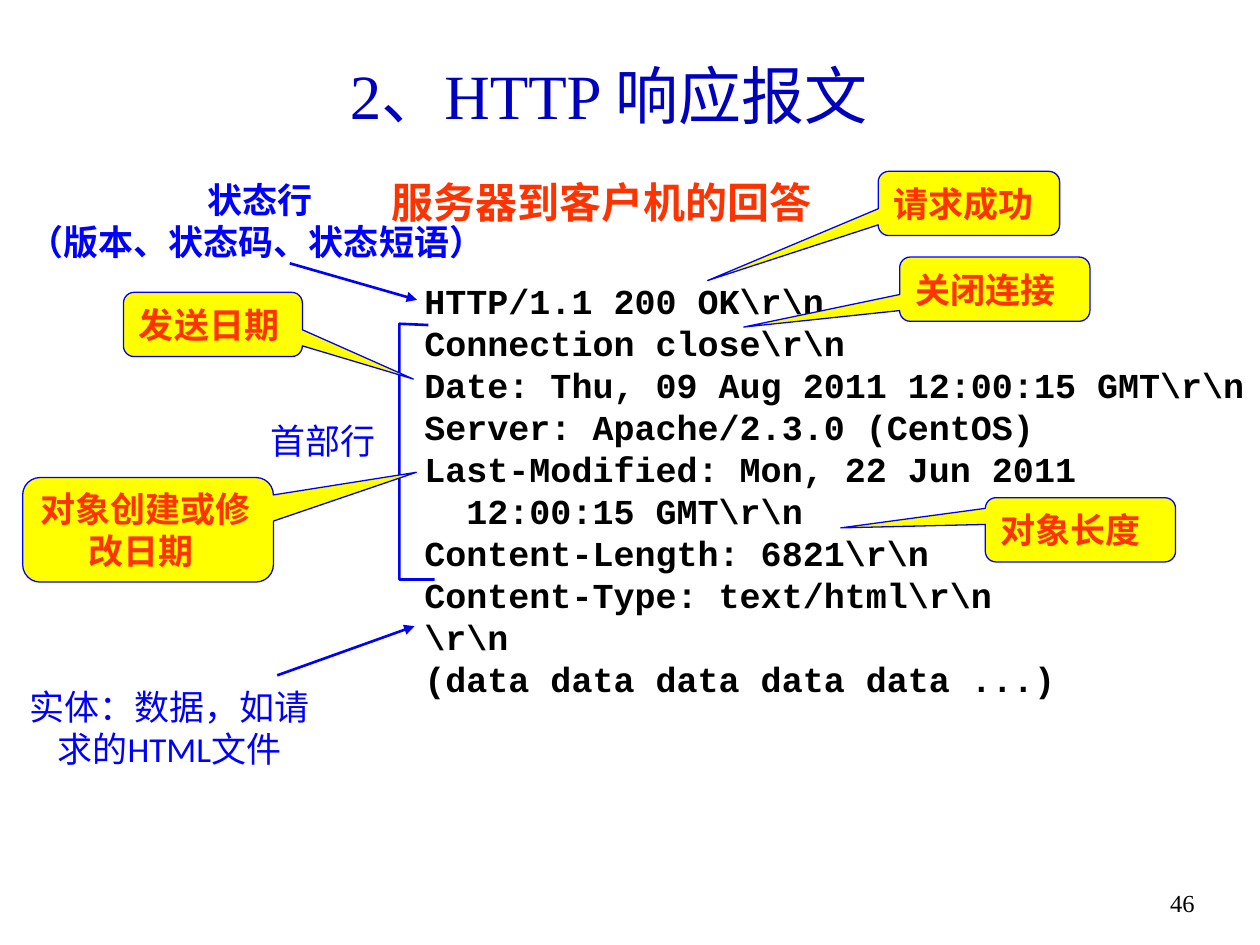
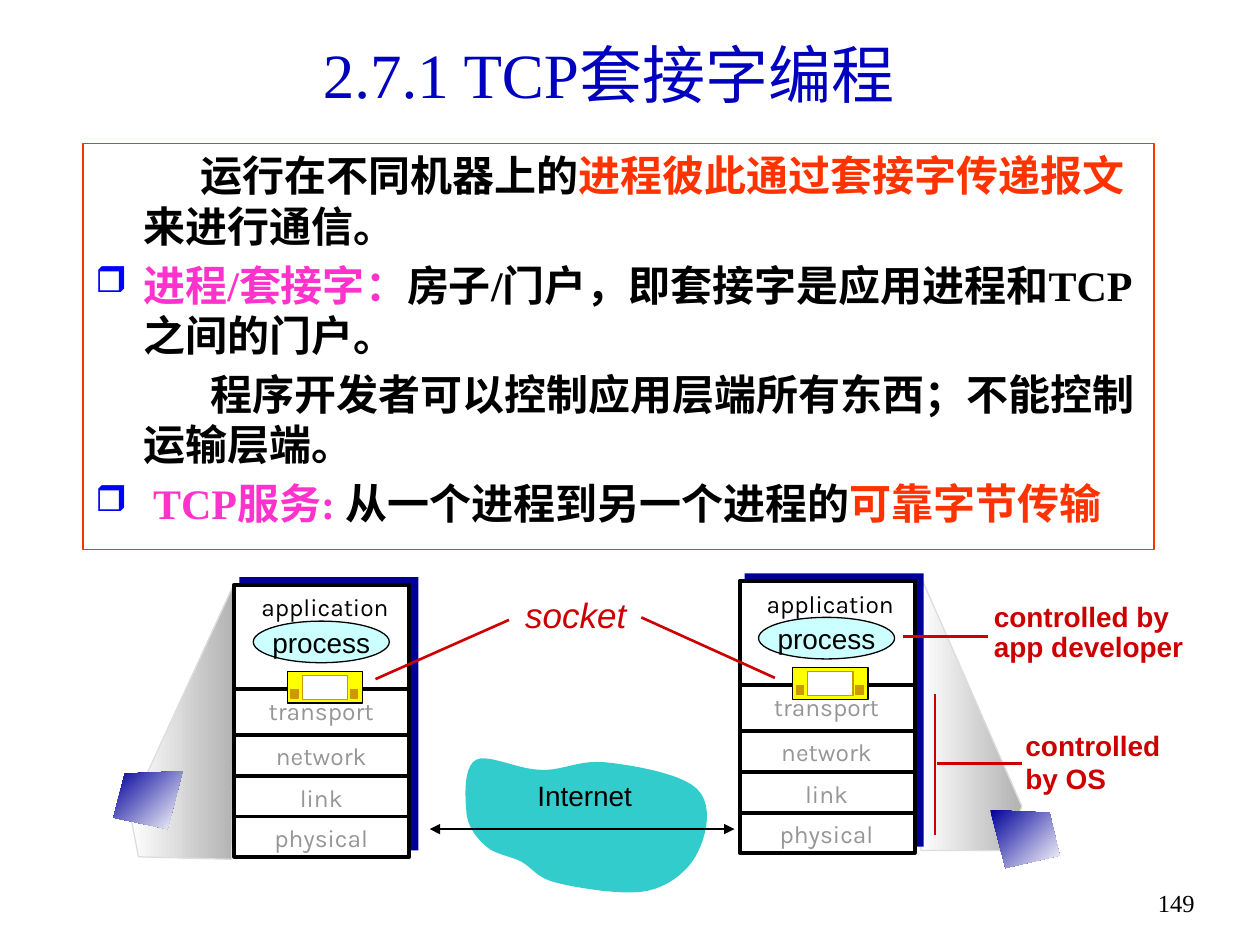
from pptx import Presentation
from pptx.dml.color import RGBColor
from pptx.enum.shapes import MSO_CONNECTOR as Connector, MSO_SHAPE as Preset
from pptx.enum.text import MSO_ANCHOR as Anchor, PP_ALIGN as Align
from pptx.oxml.ns import qn
from pptx.util import Inches, Pt
from lxml.etree import SubElement

COLORS = {
    "title": "0000BF", "black": "000000", "white": "FFFFFF", "blue": "0000FF",
    "orange": "FF3300", "pink": "FF33CC", "yellow": "FFFF00", "red": "CC0000",
    "navy": "000099", "gray": "969696", "beam": "B2B2B2", "beam edge": "DDDDDD",
    "cloud": "33CCCC", "process": "CCFFFF", "gold": "CC9900",
}
SERIF = "Times New Roman"
CJK = "Noto Sans CJK SC"
TITLE_LEFT, TITLE_WIDTH = 0.58, 8.5

RESPONSE = r"""HTTP/1.1 200 OK\r\n
Connection close\r\n
Date: Thu, 09 Aug 2011 12:00:15 GMT\r\n
Server: Apache/2.3.0 (CentOS)
Last-Modified: Mon, 22 Jun 2011
  12:00:15 GMT\r\n
Content-Length: 6821\r\n
Content-Type: text/html\r\n
\r\n
(data data data data data ...)""".split("\n")

# text, box, pointer position relative to the box
CALLOUTS = [
    ("请求成功", (6.97, 1.36, 1.44, 0.51), (-1.44, 1.2)),
    ("关闭连接", (7.14, 2.04, 1.51, 0.51), (-1.32, 0.59)),
    ("发送日期", (0.98, 2.32, 1.42, 0.51), (1.12, 0.85)),
    ("对象创建或修改日期", (0.18, 3.79, 1.99, 0.83), (1.07, -0.55)),
    ("对象长度", (7.82, 3.95, 1.51, 0.51), (-1.26, -0.03)),
]

# first-line indent, bullet, runs
SOCKET_NOTES = [
    (0.45, False, [("运行在不同机器上的", "black"), ("进程彼此通过套接字传递报文", "orange"),
                   ("来进行通信。", "black")]),
    (-0.38, True, [("进程/套接字：", "pink"),
                   ("房子/门户，即套接字是应用进程和TCP之间的门户。", "black")]),
    (0.53, False, [("程序开发者可以控制应用层端所有东西；不能控制运输层端。", "black")]),
    (-0.38, True, [(" TCP服务: ", "pink"), ("从一个进程到另一个进程的", "black"),
                   ("可靠字节传输", "orange")]),
]

# top of each layer below the top of the host
LAYERS = {"transport": 0.83, "network": 1.19, "link": 1.52, "physical": 1.84}

CLOUD_START = (3.7, 6.42)
CLOUD_CURVES = [
    ((3.69, 6.31), (3.68, 6.08), (3.78, 6.03)),
    ((3.87, 5.98), (4.12, 6.11), (4.29, 6.11)),
    ((4.46, 6.12), (4.59, 6.03), (4.8, 6.05)),
    ((5.01, 6.07), (5.41, 6.14), (5.53, 6.26)),
    ((5.66, 6.38), (5.61, 6.62), (5.54, 6.76)),
    ((5.48, 6.89), (5.33, 7.03), (5.14, 7.07)),
    ((4.96, 7.11), (4.6, 7.05), (4.43, 7.01)),
    ((4.26, 6.97), (4.24, 6.9), (4.14, 6.84)),
    ((4.04, 6.79), (3.92, 6.78), (3.85, 6.71)),
    ((3.77, 6.64), (3.7, 6.54), (3.7, 6.42)),
]


def rgb(name):
    return RGBColor.from_string(COLORS[name])


def inches(values):
    return [Inches(value) for value in values]


def add_bullet(paragraph):
    properties = paragraph._p.get_or_add_pPr()
    color = SubElement(properties, qn("a:buClr"))
    SubElement(color, qn("a:srgbClr"), val=COLORS["blue"])
    SubElement(properties, qn("a:buSzPct"), val="85000")
    SubElement(properties, qn("a:buChar"), char="❒")


def write_paragraph(paragraph, content, size=20, font=SERIF, color="black", bold=False,
                    italic=False, align=Align.LEFT, spacing=None, before=None,
                    margin=0, indent=0, bullet=False):
    """Write a string, or a list of (text, color) runs, into a paragraph."""
    paragraph.alignment = align
    properties = paragraph._p.get_or_add_pPr()
    properties.set("marL", str(Inches(margin)))
    properties.set("indent", str(Inches(indent)))
    if bullet:
        add_bullet(paragraph)
    if spacing:
        paragraph.line_spacing = spacing
    if before:
        paragraph.space_before = Pt(before)
    for text, run_color in [(content, color)] if isinstance(content, str) else content:
        run = paragraph.add_run()
        run.text = text
        run.font.name, run.font.size = font, Pt(size)
        run.font.bold, run.font.italic = bold, italic
        run.font.color.rgb = rgb(run_color)
        SubElement(run._r.get_or_add_rPr(), qn("a:ea"), typeface=CJK)


def write_text(shape, lines, anchor=Anchor.TOP, wrap=True, **text_format):
    frame = shape.text_frame
    frame.word_wrap, frame.vertical_anchor = wrap, anchor
    for number, line in enumerate(lines):
        paragraph = frame.add_paragraph() if number else frame.paragraphs[0]
        write_paragraph(paragraph, line, **text_format)


def add_text(slide, box, *lines, **text_format):
    write_text(slide.shapes.add_textbox(*inches(box)), lines, **text_format)


def paint(shape, fill=None, line=None, width=0.75):
    """Fill with a color name, a (start, end, angle) gradient or nothing."""
    shape.shadow.inherit = False
    if isinstance(fill, tuple):
        *stops, angle = fill
        shape.fill.gradient()
        shape.fill.gradient_angle = angle
        for stop, name in zip(shape.fill.gradient_stops, stops):
            stop.color.rgb = rgb(name)
    elif fill:
        shape.fill.solid()
        shape.fill.fore_color.rgb = rgb(fill)
    else:
        shape.fill.background()
    if line:
        shape.line.color.rgb = rgb(line)
        shape.line.width = Pt(width)
    else:
        shape.line.fill.background()


def add_shape(slide, preset, box, fill=None, line=None, width=0.75):
    shape = slide.shapes.add_shape(preset, *inches(box))
    paint(shape, fill, line, width)
    return shape


def add_outline(slide, points, close=True, **style):
    start, *others = [tuple(inches(point)) for point in points]
    builder = slide.shapes.build_freeform(*start)
    builder.add_line_segments(others, close=close)
    paint(builder.convert_to_shape(), **style)


def add_line(slide, start, end, color, width=1.5, arrows=()):
    """Draw a line; arrows may hold headEnd and tailEnd, in that order."""
    line = slide.shapes.add_connector(Connector.STRAIGHT, *inches(start + end))
    line.line.color.rgb = rgb(color)
    line.line.width = Pt(width)
    for arrow in arrows:
        SubElement(line.line._get_or_add_ln(), qn(f"a:{arrow}"), type="triangle")
    SubElement(line._element.spPr, qn("a:effectLst"))


def add_callout(slide, text, box, pointer):
    callout = add_shape(slide, Preset.ROUNDED_RECTANGULAR_CALLOUT, box, "yellow", "blue")
    for number, value in enumerate(pointer):
        callout.adjustments[number] = value
    write_text(callout, [text], anchor=Anchor.MIDDLE, color="orange", bold=True,
               margin=0.38, indent=-0.38)


def add_titled_slide(presentation, title, top, height, number):
    slide = presentation.slides.add_slide(presentation.slide_layouts[5])
    placeholder = slide.shapes.title
    placeholder.left, placeholder.top, placeholder.width, placeholder.height = inches(
        (TITLE_LEFT, top, TITLE_WIDTH, height))
    write_text(placeholder, [title], anchor=Anchor.MIDDLE, size=36, color="title",
               align=Align.CENTER)
    add_text(slide, (9.08, 7, 0.5, 0.5), number, size=14, align=Align.RIGHT)
    return slide


def add_host(slide, left, top):
    """Draw a protocol stack with its process and socket."""
    def box(x, y, width, height):
        return left + x, top + y, width, height

    def label(text, x, y, color):
        add_text(slide, box(x, y, 1.44, 0.36), text, size=14, font="Karla", color=color,
                 align=Align.CENTER, spacing=1.1)

    add_shape(slide, Preset.RECTANGLE, box(0.04, -0.06, 1.42, 2.17), "navy")
    add_shape(slide, Preset.RECTANGLE, box(0, 0, 1.39, 2.16), "white", "black", 2.25)
    label("application", 0, -0.01, "black")
    for layer, y in LAYERS.items():
        add_line(slide, (left + 0.01, top + y), (left + 1.39, top + y), "black", 2.25)
        label(layer, -0.03, y - 0.02, "gray")
    process = add_shape(slide, Preset.OVAL, box(0.15, 0.29, 1.08, 0.33), "process", "black")
    write_text(process, ["process"], anchor=Anchor.MIDDLE, wrap=False, size=16,
               font="Arial", align=Align.CENTER)
    add_shape(slide, Preset.RECTANGLE, box(0.42, 0.69, 0.6, 0.25), "yellow", "black")
    add_shape(slide, Preset.RECTANGLE, box(0.54, 0.72, 0.36, 0.19), "white", "gold")
    for x in (0.45, 0.92):
        add_shape(slide, Preset.RECTANGLE, box(x, 0.83, 0.06, 0.07), "gold", "gold")


def curve_points(start, curves, steps=10):
    """Sample a chain of cubic Bezier curves."""
    points = [start]
    for first, second, end in curves:
        begin = points[-1]
        for step in range(1, steps + 1):
            t = step / steps
            u = 1 - t
            points.append(tuple(
                u**3 * a + 3 * u * u * t * b + 3 * u * t * t * c + t**3 * d
                for a, b, c, d in zip(begin, first, second, end)))
    return points


def build_response_slide(presentation):
    slide = add_titled_slide(presentation, "2、HTTP 响应报文", 0.25, 1, "46")
    add_text(slide, (3.27, 2.17, 6.73, 3.47), *RESPONSE, font="Courier New", bold=True,
             wrap=False)
    add_text(slide, (-0.01, 1.37, 4.09, 0.77), " 状态行", "（版本、状态码、状态短语）",
             font="Comic Neue", color="blue", bold=True, align=Align.CENTER)
    add_line(slide, (2.3, 2.09), (3.31, 2.38), "blue", arrows=["tailEnd"])
    add_outline(slide, [(3.4, 2.58), (3.17, 2.57), (3.17, 4.6), (3.45, 4.6)],
                close=False, line="blue", width=1.5)
    add_text(slide, (1.88, 3.28, 1.2, 0.43), "首部行", font="Comic Neue", color="blue",
             align=Align.RIGHT)
    add_line(slide, (2.2, 5.36), (3.29, 4.97), "blue", arrows=["tailEnd"])
    add_text(slide, (0.11, 5.39, 2.47, 0.77), "实体：数据，如请求的HTML文件",
             font="Calibri", color="blue", align=Align.CENTER)
    for callout in CALLOUTS:
        add_callout(slide, *callout)
    add_text(slide, (2.01, 1.35, 5.53, 0.5), "服务器到客户机的回答", size=24, font=CJK,
             color="orange", bold=True, align=Align.CENTER)


def add_socket_notes(slide):
    notes = add_shape(slide, Preset.RECTANGLE, (0.66, 1.14, 8.5, 3.22), line="orange")
    frame = notes.text_frame
    frame.word_wrap, frame.vertical_anchor = True, Anchor.TOP
    for number, (indent, bullet, runs) in enumerate(SOCKET_NOTES):
        paragraph = frame.add_paragraph() if number else frame.paragraphs[0]
        write_paragraph(paragraph, runs, size=24, bold=True, margin=0.38, indent=indent,
                        bullet=bullet, before=4.8 if number else None)


def build_socket_slide(presentation):
    slide = add_titled_slide(presentation, "2.7.1 TCP套接字编程", 0.13, 0.9, "149")
    add_socket_notes(slide)

    beam = {"fill": ("white", "beam", 0), "line": "beam edge"}
    add_outline(slide, [(8.11, 6.4), (7.3, 4.56), (7.31, 6.75), (7.97, 6.75)], **beam)
    add_outline(slide, [(1.03, 6.44), (1.86, 4.63), (1.84, 6.82), (1.1, 6.8)], **beam)
    add_outline(slide, curve_points(CLOUD_START, CLOUD_CURVES), fill="cloud")
    add_text(slide, (4.04, 6.13, 1.2, 0.37), "Internet", size=16, font="Arial",
             align=Align.CENTER)
    add_line(slide, (3.41, 6.58), (5.83, 6.58), "black", 0.75, ["headEnd", "tailEnd"])

    add_host(slide, 1.86, 4.64)
    add_host(slide, 5.87, 4.61)

    control = {"size": 16, "font": "Arial", "color": "red", "bold": True}
    add_text(slide, (8.04, 5.73, 1.39, 0.64), "controlled", "by OS", **control)
    add_text(slide, (7.79, 4.74, 1.9, 0.59), "controlled by", "app developer",
             spacing=0.9, **control)
    add_text(slide, (4.07, 4.7, 1.2, 0.4), "socket", font="Arial", color="red",
             italic=True, spacing=0.9)
    for start, end in [((7.84, 5.05), (7.17, 5.05)), ((7.42, 5.51), (7.42, 6.63)),
                       ((8.11, 6.06), (7.44, 6.06)), ((2.98, 5.39), (4.04, 4.92)),
                       ((6.15, 5.38), (5.09, 4.9))]:
        add_line(slide, start, end, "red")

    for computer in ([(1.45, 6.12), (0.99, 6.14), (0.9, 6.49), (1.33, 6.58)],
                     [(7.86, 6.43), (8.33, 6.45), (8.41, 6.79), (7.98, 6.89)]):
        add_outline(slide, computer, fill=("navy", "white", 315))


def main():
    presentation = Presentation()
    presentation.slide_width, presentation.slide_height = Inches(10), Inches(7.5)
    build_response_slide(presentation)
    build_socket_slide(presentation)
    presentation.save("out.pptx")


if __name__ == "__main__":
    main()
